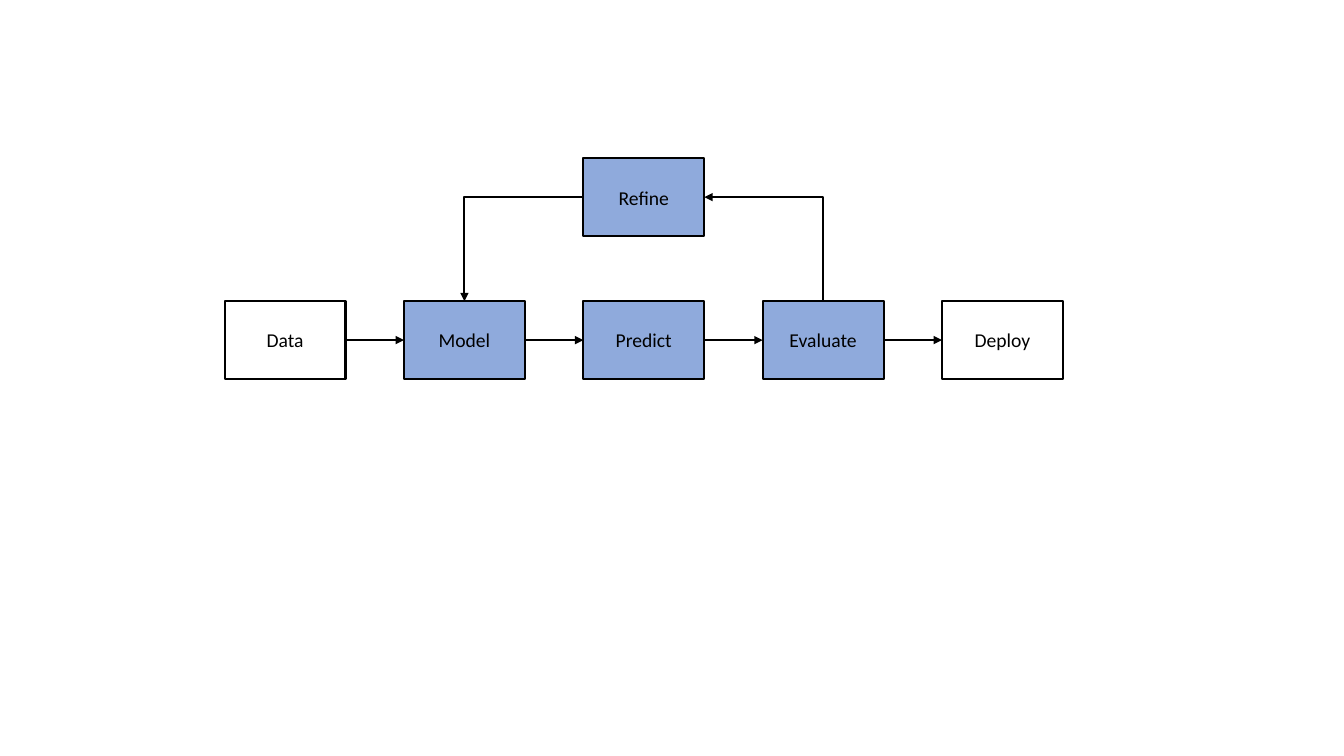
import pptx
import pptx.util
import pptx.dml.color
import pptx.enum.shapes
import pptx.enum.text
import pptx.oxml.ns
import lxml.etree

Cm = pptx.util.Cm
Pt = pptx.util.Pt
RGBColor = pptx.dml.color.RGBColor
Kind = pptx.enum.shapes.MSO_CONNECTOR
qn = pptx.oxml.ns.qn

BLACK = RGBColor(0, 0, 0)
WHITE = RGBColor(255, 255, 255)
BLUE = RGBColor(0x8F, 0xAA, 0xDC)

# name, column, row, fill
STEPS = [
    ("Data", 0, 1, WHITE),
    ("Model", 1, 1, BLUE),
    ("Predict", 2, 1, BLUE),
    ("Evaluate", 3, 1, BLUE),
    ("Deploy", 4, 1, WHITE),
    ("Refine", 2, 0, BLUE),
]
FLOW = ["Data", "Model", "Predict", "Evaluate", "Deploy"]
TOP, LEFT, RIGHT = 0, 1, 3  # connection sites of a rectangle

X0, Y0 = 5.66, 3.99
STEP_X, STEP_Y = 4.52, 3.6
WIDTH, HEIGHT = 3.05, 1.96


def add_step(slide, name, col, row, fill):
    """Draw one labelled step on the grid."""
    box = slide.shapes.add_shape(
        pptx.enum.shapes.MSO_SHAPE.RECTANGLE,
        Cm(X0 + col * STEP_X), Cm(Y0 + row * STEP_Y), Cm(WIDTH), Cm(HEIGHT))
    box.shadow.inherit = False
    box.fill.solid()
    box.fill.fore_color.rgb = fill
    box.line.color.rgb = BLACK
    box.line.width = Pt(1.5)
    frame = box.text_frame
    frame.vertical_anchor = pptx.enum.text.MSO_ANCHOR.MIDDLE
    para = frame.paragraphs[0]
    para.alignment = pptx.enum.text.PP_ALIGN.CENTER
    run = para.add_run()
    run.text = name
    run.font.name = "Calibri"
    run.font.size = Pt(14)
    run.font.color.rgb = BLACK
    return box


def add_arrow(slide, kind, start, exit, end, entry):
    """Join two steps, from site to site, with an arrow."""
    arrow = slide.shapes.add_connector(kind, 0, 0, 0, 0)
    arrow.begin_connect(start, exit)
    arrow.end_connect(end, entry)
    arrow.line.color.rgb = BLACK
    arrow.line.width = Pt(1.5)
    props = arrow._element.spPr
    head = lxml.etree.SubElement(props.find(qn("a:ln")), qn("a:tailEnd"))
    head.set("type", "triangle")
    lxml.etree.SubElement(props, qn("a:effectLst"))
    if kind == Kind.ELBOW:
        props.find(qn("a:prstGeom")).set("prst", "bentConnector2")
    return arrow


def turn_up(arrow):
    """Make a one-bend arrow leave upwards, then run left."""
    wide, high = arrow.width, arrow.height
    arrow.left += (wide - high) // 2
    arrow.top += (high - wide) // 2
    arrow.width, arrow.height = high, wide
    frame = arrow._element.spPr.find(qn("a:xfrm"))
    frame.set("rot", str(270 * 60000))
    frame.set("flipH", "0")
    frame.set("flipV", "1")


deck = pptx.Presentation()
deck.slide_width, deck.slide_height = Cm(33.87), Cm(19.05)
slide = deck.slides.add_slide(deck.slide_layouts[6])

boxes = {step[0]: add_step(slide, *step) for step in STEPS}
for start, end in zip(FLOW, FLOW[1:]):
    add_arrow(slide, Kind.STRAIGHT, boxes[start], RIGHT, boxes[end], LEFT)
turn_up(add_arrow(slide, Kind.ELBOW, boxes["Evaluate"], TOP,
                  boxes["Refine"], RIGHT))
add_arrow(slide, Kind.ELBOW, boxes["Refine"], LEFT, boxes["Model"], TOP)

deck.save("out.pptx")
